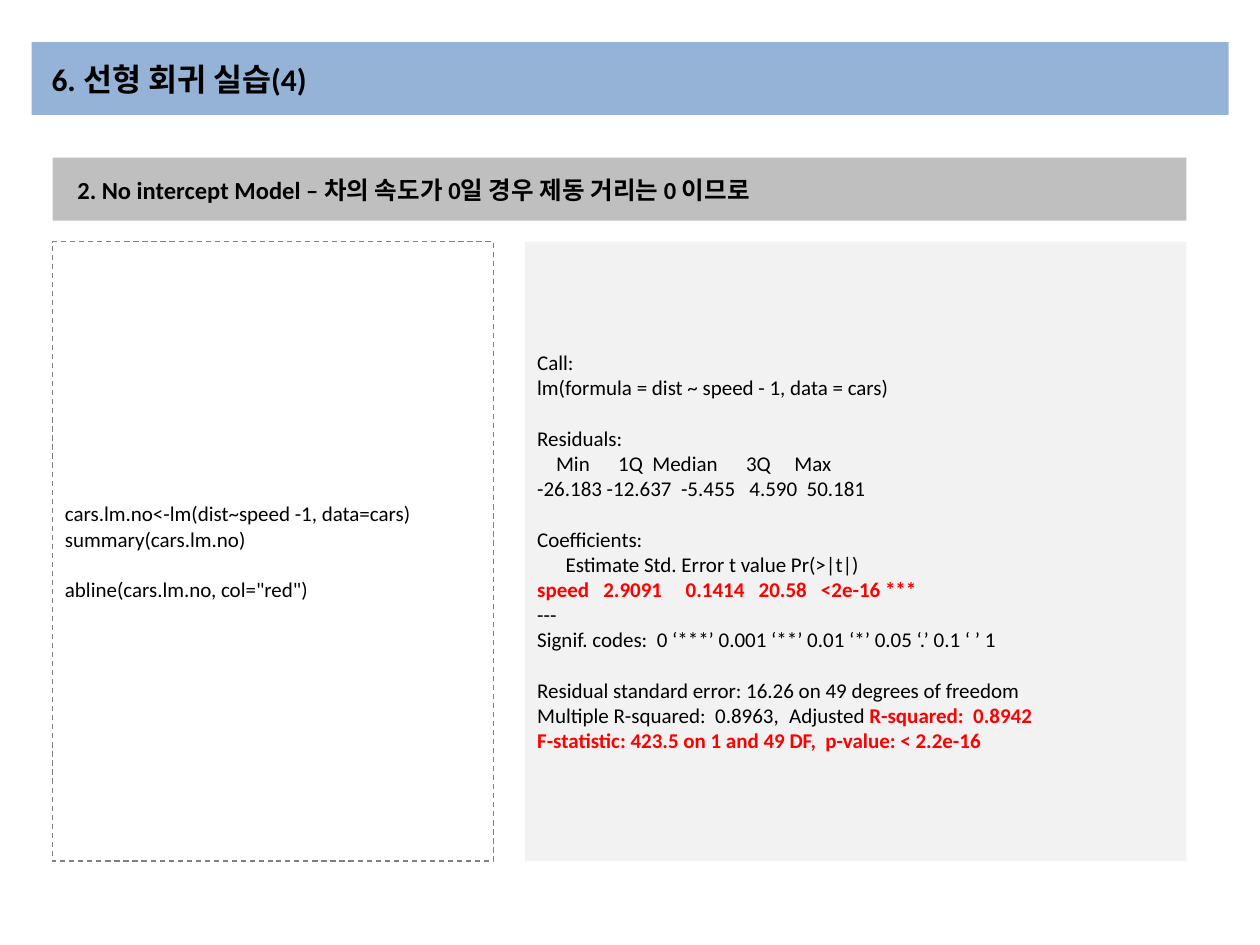
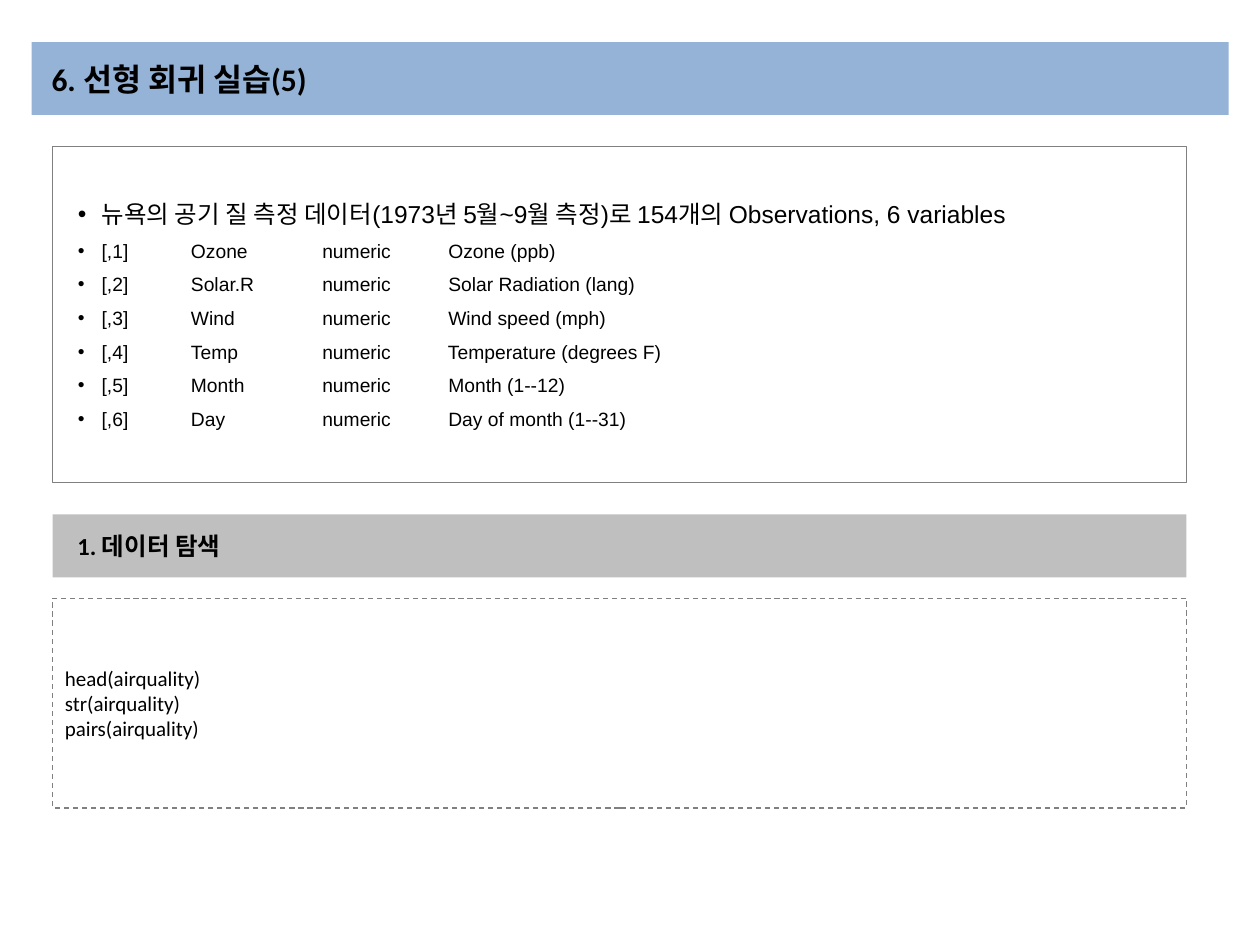
from dataclasses import dataclass

from lxml import etree
from pptx import Presentation
from pptx.dml.color import RGBColor
from pptx.enum.dml import MSO_LINE
from pptx.enum.shapes import MSO_SHAPE
from pptx.enum.text import MSO_ANCHOR, PP_ALIGN
from pptx.oxml.ns import qn
from pptx.util import Cm, Pt

RECT = MSO_SHAPE.RECTANGLE
MIDDLE = MSO_ANCHOR.MIDDLE
LEFT = PP_ALIGN.LEFT
DASH = MSO_LINE.DASH


@dataclass(frozen=True)
class Theme:
    title_fill: str = "95B3D7"
    heading_fill: str = "BFBFBF"
    output_fill: str = "F2F2F2"
    border: str = "808080"
    text: str = "000000"
    accent: str = "FF0000"
    sans: str = "Arial"
    body: str = "Calibri"
    title_size: float = 18
    heading_size: float = 14
    code_size: float = 12
    list_size: float = 11
    code_gap: float = 14.4  # one empty line of code
    list_gap: float = 6


@dataclass(frozen=True)
class Box:
    left: float
    top: float
    width: float
    height: float


@dataclass(frozen=True)
class Span:
    text: str
    strong: bool = False


@dataclass(frozen=True)
class Line:
    spans: tuple[Span, ...]
    gap: bool = False


THEME = Theme()

# Shared layout, in centimetres
MARGIN, CONTENT_W = 1.06, 22.86
HEADING_H, HEADING_GAP = 1.27, 0.42
TITLE_BOX = Box(0.64, 0.85, 24.13, 1.47)
TAB_STEP = 2.54


def line(text: str, strong: bool = False, gap: bool = False) -> Line:
    return Line((Span(text, strong),), gap)


MODEL_CODE = [
    line("cars.lm.no<-lm(dist~speed -1, data=cars)"),
    line("summary(cars.lm.no)"),
    line('abline(cars.lm.no, col="red")', gap=True),
]

# Console output, spaced as the program prints it
MODEL_OUTPUT = [
    line("Call:"),
    line("lm(formula = dist ~ speed - 1, data = cars)"),
    line("Residuals:", gap=True),
    line("    Min      1Q  Median      3Q     Max"),
    line("-26.183 -12.637  -5.455   4.590  50.181"),
    line("Coefficients:", gap=True),
    line("      Estimate Std. Error t value Pr(>|t|)"),
    line("speed   2.9091     0.1414   20.58   <2e-16 ***", strong=True),
    line("---"),
    line("Signif. codes:  0 ‘***’ 0.001 ‘**’ 0.01 ‘*’ 0.05 ‘.’ 0.1 ‘ ’ 1"),
    line("Residual standard error: 16.26 on 49 degrees of freedom", gap=True),
    Line((Span("Multiple R-squared:  0.8963,\tAdjusted "), Span("R-squared:  0.8942", True))),
    line("F-statistic: 423.5 on 1 and 49 DF,  p-value: < 2.2e-16", strong=True),
]

EXPLORE_CODE = [line(f"{name}(airquality)") for name in ("head", "str", "pairs")]

DATA_SUMMARY = "뉴욕의 공기 질 측정 데이터(1973년 5월~9월 측정)로 154개의 Observations, 6 variables"
VARIABLES = [
    ("Ozone", "Ozone (ppb)"),
    ("Solar.R", "Solar Radiation (lang)"),
    ("Wind", "Wind speed (mph)"),
    ("Temp", "Temperature (degrees F)"),
    ("Month", "Month (1--12)"),
    ("Day", "Day of month (1--31)"),
]


# Drawing helpers
def add_box(slide, box: Box, fill: str = "", border: str = "", dash: bool = False):
    sp = slide.shapes.add_shape(RECT, Cm(box.left), Cm(box.top), Cm(box.width), Cm(box.height))
    sp.shadow.inherit = False
    if fill:
        sp.fill.solid()
        sp.fill.fore_color.rgb = RGBColor.from_string(fill)
    else:
        sp.fill.background()
    if border:
        sp.line.color.rgb = RGBColor.from_string(border)
        sp.line.width = Pt(0.75)
        if dash:
            sp.line.dash_style = DASH
    else:
        sp.line.fill.background()
    tf = sp.text_frame
    tf.word_wrap = True
    tf.vertical_anchor = MIDDLE
    return tf


def next_paragraph(tf, before: float = 0, left: float = 0, hanging: float = 0, bullet: str = ""):
    first = not tf.paragraphs[0].runs
    p = tf.paragraphs[0] if first else tf.add_paragraph()
    p.alignment = LEFT
    if not first:
        p.space_before = Pt(before)
    pPr = p._p.get_or_add_pPr()
    pPr.set("marL", str(Cm(left)))
    pPr.set("indent", str(-Cm(hanging)))
    pPr.set("defTabSz", str(Cm(TAB_STEP)))
    if bullet:
        etree.SubElement(pPr, qn("a:buFont"), typeface=THEME.sans)
        etree.SubElement(pPr, qn("a:buChar"), char=bullet)
    return p


def add_run(p, text: str, size: float, font: str = THEME.body,
            color: str = THEME.text, bold: bool = False) -> None:
    r = p.add_run()
    r.text = text
    r.font.name = font
    r.font.size = Pt(size)
    r.font.bold = bold
    r.font.color.rgb = RGBColor.from_string(color)


def add_title(slide, text: str) -> None:
    tf = add_box(slide, TITLE_BOX, fill=THEME.title_fill)
    tf.margin_left = Cm(0.4)
    add_run(next_paragraph(tf), text, THEME.title_size, bold=True)


def add_heading(slide, text: str, top: float) -> float:
    """Draw a section band and return the top of the content under it."""
    tf = add_box(slide, Box(MARGIN, top, CONTENT_W, HEADING_H), fill=THEME.heading_fill)
    add_run(next_paragraph(tf, left=0.25), text, THEME.heading_size, bold=True)
    return top + HEADING_H + HEADING_GAP


def add_code(slide, box: Box, lines: list[Line], fill: str = "") -> None:
    """Filled panels hold output; dashed ones hold commands."""
    tf = add_box(slide, box, fill, border="" if fill else THEME.border, dash=True)
    for item in lines:
        p = next_paragraph(tf, before=THEME.code_gap if item.gap else 0)
        for span in item.spans:
            color = THEME.accent if span.strong else THEME.text
            add_run(p, span.text, THEME.code_size, color=color, bold=span.strong)


def add_variable_list(slide, box: Box) -> None:
    tf = add_box(slide, box, border=THEME.border)
    rows = [(DATA_SUMMARY, THEME.heading_size)]
    rows += [(f"[,{i}]\t{name}\t numeric\t {meaning}", THEME.list_size)
             for i, (name, meaning) in enumerate(VARIABLES, 1)]
    for text, size in rows:
        p = next_paragraph(tf, before=THEME.list_gap, left=0.74, hanging=0.48, bullet="•")
        add_run(p, text, size, font=THEME.sans)


# Slides
def build_model_slide(slide) -> None:
    add_title(slide, "6. 선형 회귀 실습(4)")
    top = add_heading(slide, "2. No intercept Model – 차의 속도가 0일 경우 제동 거리는 0 이므로", 3.18)
    code_w, gutter, height = 8.89, 0.63, 12.49
    output_left = MARGIN + code_w + gutter
    add_code(slide, Box(MARGIN, top, code_w, height), MODEL_CODE)
    add_code(slide, Box(output_left, top, CONTENT_W - code_w - gutter, height),
             MODEL_OUTPUT, fill=THEME.output_fill)


def build_data_slide(slide) -> None:
    add_title(slide, "6. 선형 회귀 실습(5)")
    add_variable_list(slide, Box(MARGIN, 2.96, CONTENT_W, 6.77))
    top = add_heading(slide, "1. 데이터 탐색", 10.37)
    add_code(slide, Box(MARGIN, top, CONTENT_W, 4.23), EXPLORE_CODE)


def main() -> None:
    prs = Presentation()
    prs.slide_width, prs.slide_height = Cm(25.4), Cm(19.05)
    blank = prs.slide_layouts[6]
    for build in (build_model_slide, build_data_slide):
        build(prs.slides.add_slide(blank))
    prs.save("out.pptx")


if __name__ == "__main__":
    main()
